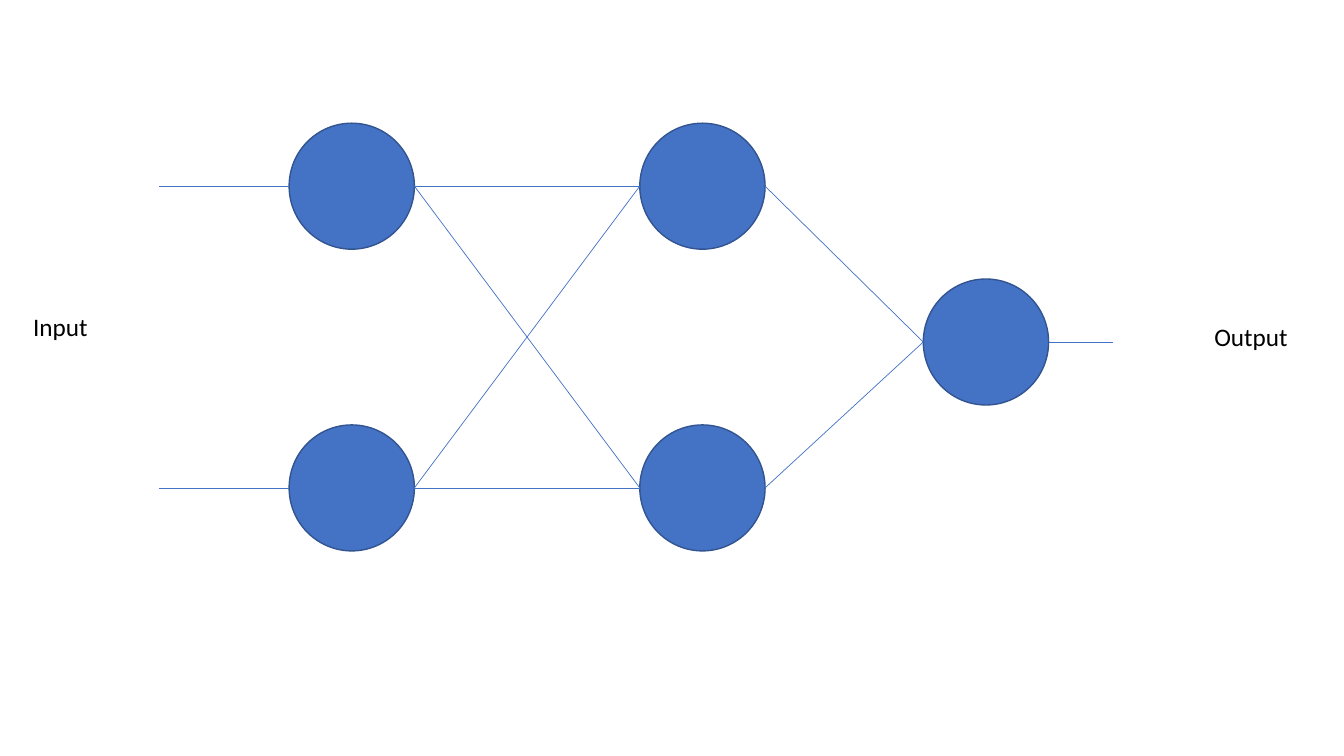
from dataclasses import dataclass
from itertools import product

from lxml.etree import SubElement
from pptx import Presentation
from pptx.dml.color import RGBColor
from pptx.enum.shapes import MSO_CONNECTOR, MSO_SHAPE
from pptx.enum.text import MSO_AUTO_SIZE
from pptx.oxml.ns import qn
from pptx.slide import Slide
from pptx.util import Pt

BLUE = RGBColor(0x44, 0x72, 0xC4)
DARK_BLUE = RGBColor(0x32, 0x54, 0x91)
BLACK = RGBColor(0, 0, 0)

NODE_WIDTH = 89.5
NODE_HEIGHT = 90
ROWS = (133, 348.5)
INPUT_START = 113.8
OUTPUT_END = 795


@dataclass(frozen=True)
class Point:
    x: float
    y: float


@dataclass(frozen=True)
class Node:
    left: float
    middle: float

    @property
    def entry(self) -> Point:
        return Point(self.left, self.middle)

    @property
    def exit(self) -> Point:
        return Point(self.left + NODE_WIDTH, self.middle)


@dataclass(frozen=True)
class Label:
    text: str
    left: float
    top: float
    width: float


INPUT_LAYER = [Node(206.5, y) for y in ROWS]
HIDDEN_LAYER = [Node(457, y) for y in ROWS]
OUTPUT_LAYER = [Node(659.5, 244.3)]
LAYERS = [INPUT_LAYER, HIDDEN_LAYER, OUTPUT_LAYER]
LABELS = [Label("Input", 23.7, 222.5, 39.6), Label("Output", 867.4, 229.7, 52.6)]


def add_node(s: Slide, node: Node) -> None:
    sp = s.shapes.add_shape(
        MSO_SHAPE.FLOWCHART_CONNECTOR,
        Pt(node.left), Pt(node.middle - NODE_HEIGHT / 2),
        Pt(NODE_WIDTH), Pt(NODE_HEIGHT),
    )
    sp.shadow.inherit = False
    sp.fill.solid()
    sp.fill.fore_color.rgb = BLUE
    sp.line.color.rgb = DARK_BLUE
    sp.line.width = Pt(1)


def add_link(s: Slide, start: Point, end: Point) -> None:
    cxn = s.shapes.add_connector(
        MSO_CONNECTOR.STRAIGHT, Pt(start.x), Pt(start.y), Pt(end.x), Pt(end.y)
    )
    cxn.line.color.rgb = BLUE
    cxn.line.width = Pt(0.5)
    SubElement(cxn._element.spPr, qn("a:effectLst"))


def add_label(s: Slide, label: Label) -> None:
    sp = s.shapes.add_textbox(Pt(label.left), Pt(label.top), Pt(label.width), Pt(21.6))
    tf = sp.text_frame
    tf.margin_left = tf.margin_top = tf.margin_right = tf.margin_bottom = 0
    tf.word_wrap = False
    tf.auto_size = MSO_AUTO_SIZE.SHAPE_TO_FIT_TEXT
    tf.text = label.text
    r = tf.paragraphs[0].runs[0]
    r.font.name = "Calibri"
    r.font.size = Pt(18)
    r.font.color.rgb = BLACK


def main() -> None:
    prs = Presentation()
    prs.slide_width = Pt(960)
    prs.slide_height = Pt(540)
    s = prs.slides.add_slide(prs.slide_layouts[6])

    for layer in LAYERS:
        for node in layer:
            add_node(s, node)

    for node in INPUT_LAYER:
        add_link(s, node.entry, Point(INPUT_START, node.middle))
    for sources, targets in zip(LAYERS, LAYERS[1:]):
        for source, target in product(sources, targets):
            add_link(s, source.exit, target.entry)
    for node in OUTPUT_LAYER:
        add_link(s, node.exit, Point(OUTPUT_END, node.middle))

    for label in LABELS:
        add_label(s, label)

    prs.save("out.pptx")


if __name__ == "__main__":
    main()
